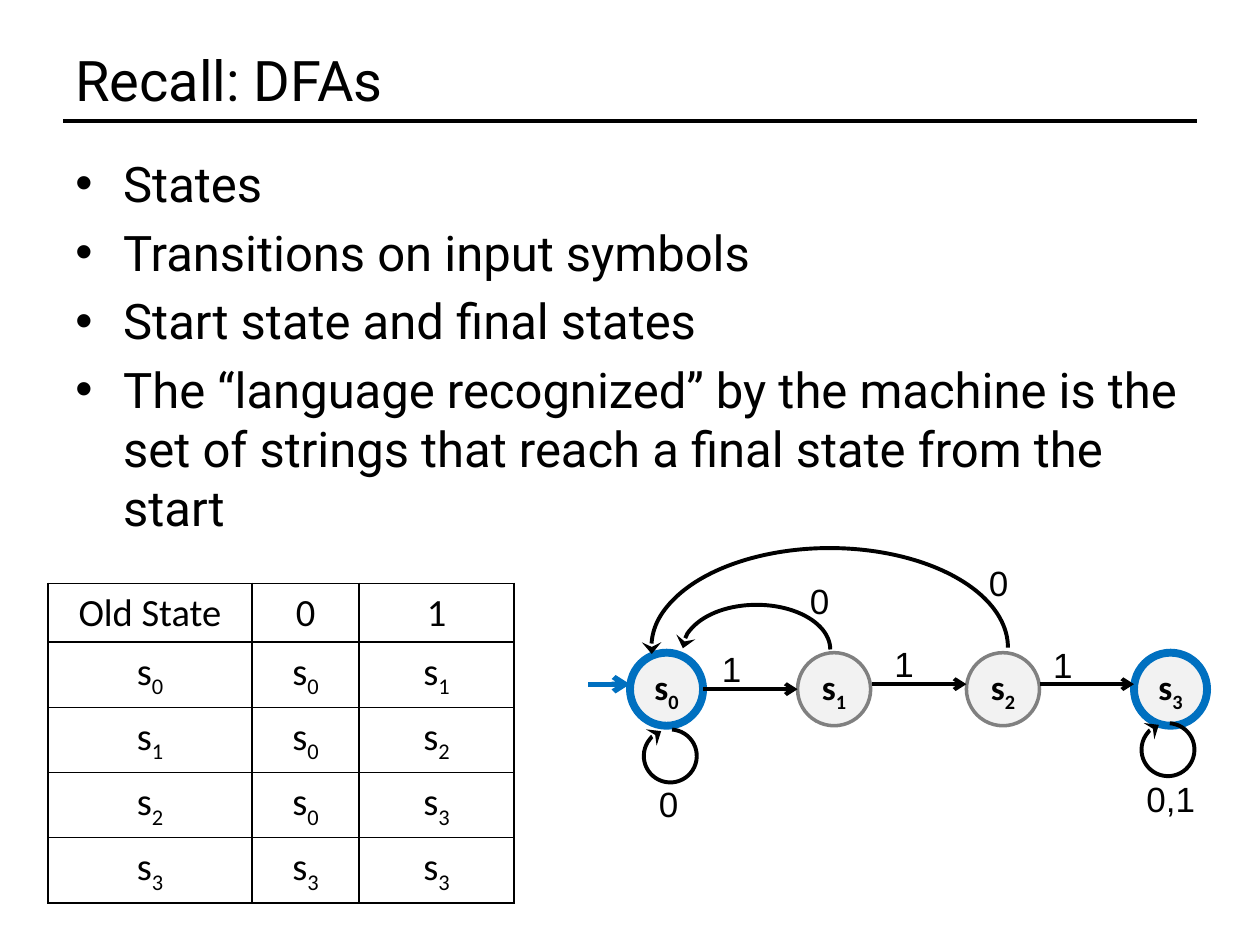
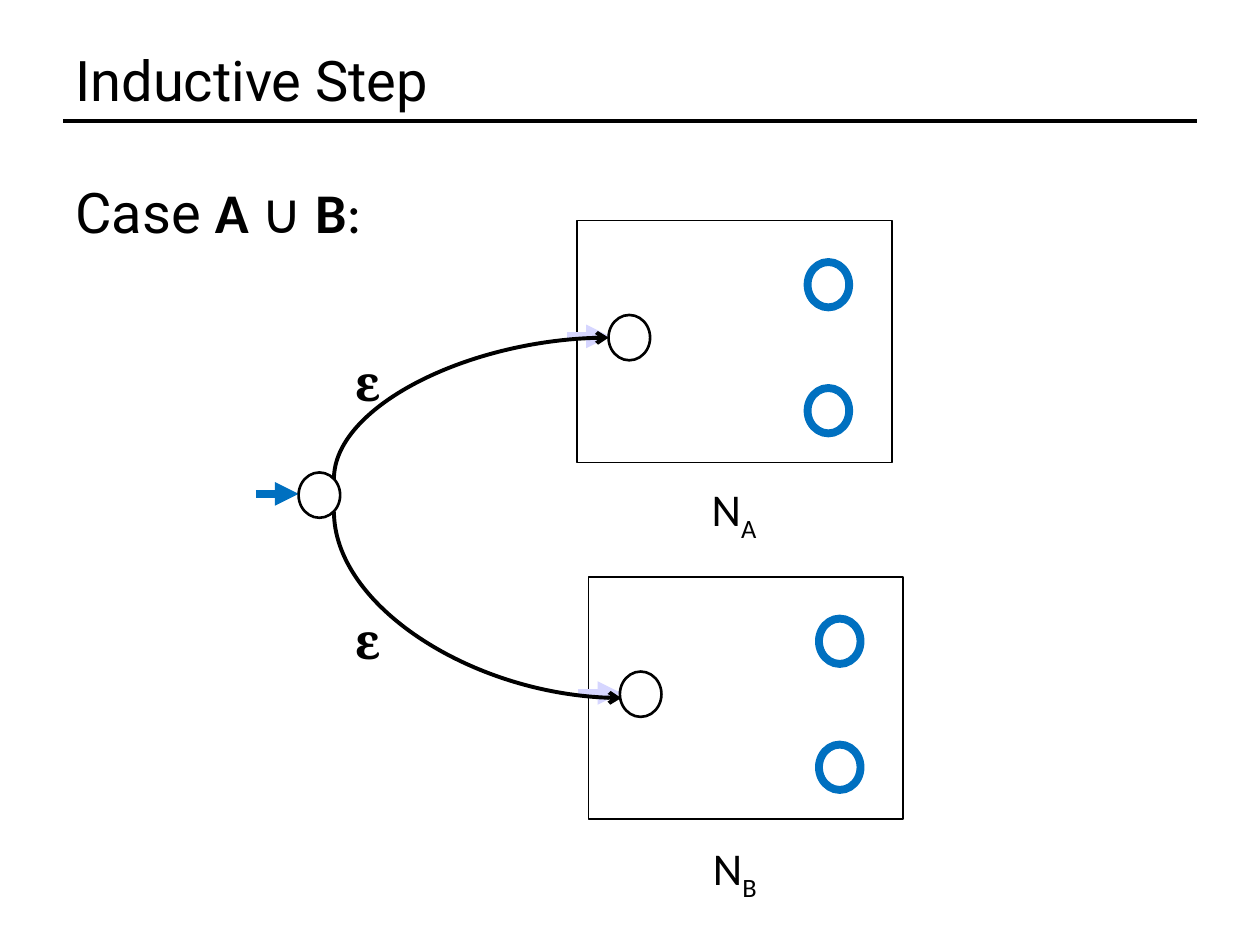
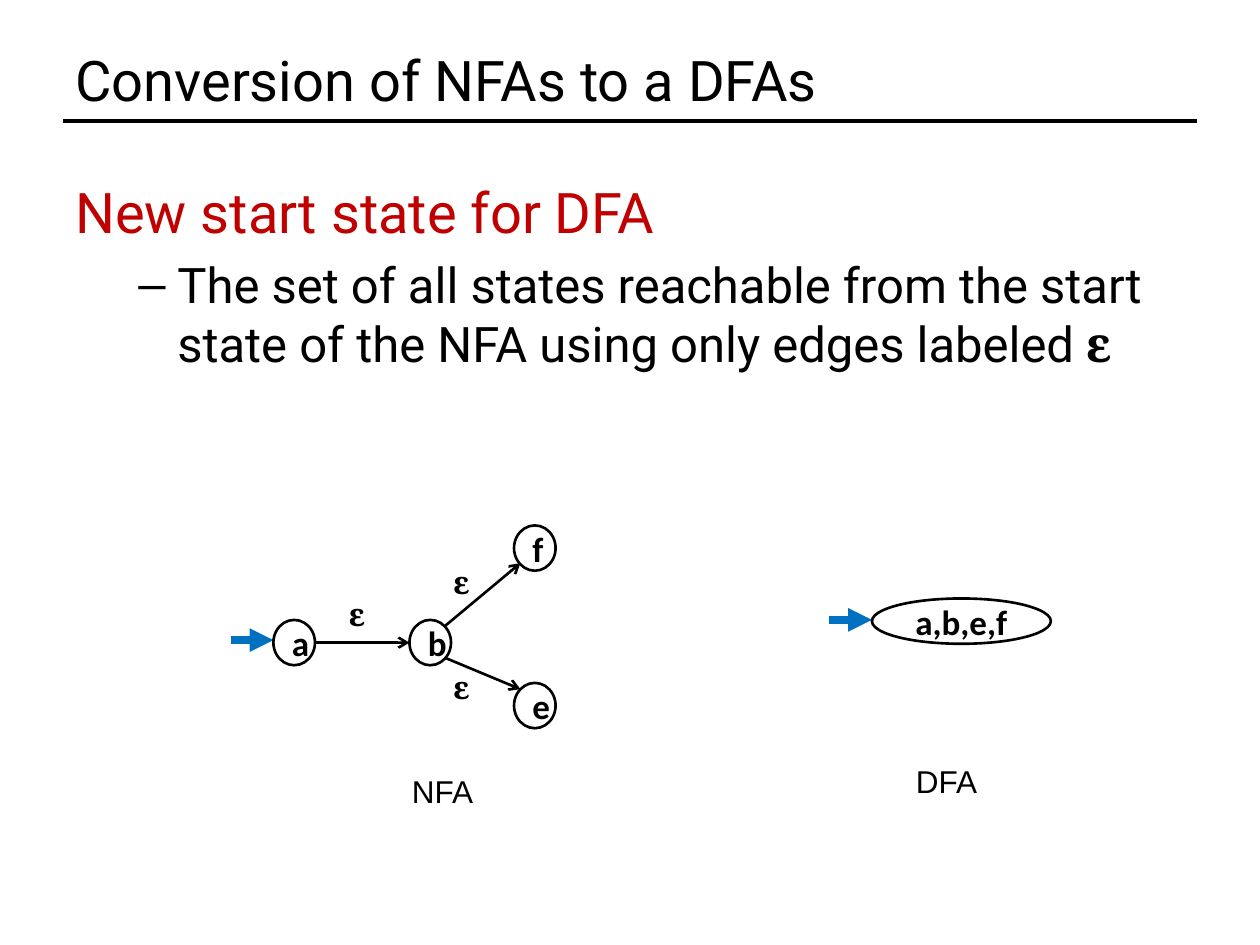
from lxml import etree
from pptx import Presentation
from pptx.dml.color import RGBColor
from pptx.enum.shapes import MSO_CONNECTOR, MSO_SHAPE
from pptx.enum.text import MSO_ANCHOR, MSO_AUTO_SIZE, PP_ALIGN
from pptx.oxml.ns import qn
from pptx.util import Inches, Pt

STRAIGHT, CURVE = MSO_CONNECTOR.STRAIGHT, MSO_CONNECTOR.CURVE
OVAL, RECTANGLE, ARC = MSO_SHAPE.OVAL, MSO_SHAPE.RECTANGLE, MSO_SHAPE.ARC
CENTER, MIDDLE, TOP = PP_ALIGN.CENTER, MSO_ANCHOR.MIDDLE, MSO_ANCHOR.TOP
GROW = MSO_AUTO_SIZE.SHAPE_TO_FIT_TEXT

BLACK = RGBColor(0x00, 0x00, 0x00)
BLUE = RGBColor(0x00, 0x70, 0xC0)
GRAY = RGBColor(0x80, 0x80, 0x80)
PALE_GRAY = RGBColor(0xF2, 0xF2, 0xF2)
LAVENDER = RGBColor(0xD6, 0xD6, 0xFF)
RED = RGBColor(0xC0, 0x00, 0x00)

DFA_POINTS = [
    "States",
    "Transitions on input symbols",
    "Start state and final states",
    "The “language recognized” by the machine is the set of strings that reach a final state from the start",
]
DFA_TABLE = [
    ("Old State", "0", "1"),
    ("s_0", "s_0", "s_1"),
    ("s_1", "s_0", "s_2"),
    ("s_2", "s_0", "s_3"),
    ("s_3", "s_3", "s_3"),
]
TABLE_COLUMNS = (1.62, 0.85, 1.23)
DFA_STATES = [("s_0", 5, True), ("s_1", 6.33, False), ("s_2", 7.67, False), ("s_3", 9, True)]
DFA_EDGES = [(5.58, 6.33, 5.47), (6.92, 7.67, 5.43), (8.25, 9, 5.43)]
DFA_LABELS = [
    ("1", 8.26, 5.06, 0.25), ("1", 7, 5.05, 0.25), ("1", 5.63, 5.09, 0.25),
    ("0,1", 9, 6.12, 0.88), ("0", 7.75, 4.41, 0.25), ("0", 5.13, 6.16, 0.25),
    ("0", 6.33, 4.55, 0.25),
]
RETURN_ARCS = [((5.42, 4.8, 1.17, 0.71), 108.556), ((5.17, 4.35, 2.83, 1.58), 106.771)]
SELF_LOOPS = [(5.11, 5.79), (9.06, 5.74)]

MACHINES = [(4.58, 1.75), (4.67, 4.58)]
MACHINE_LABELS = [("N_A", 5.55, 3.77), ("N_B", 5.56, 6.62)]
EPSILON_CURVES = [
    ((4.3, 4.33), (3.18, 2.15), 90),
    ((4.53, 3.66), (3.05, 5.94), 270),
]

NFA_STATES = [("f", 4.08, 4.17), ("e", 4.08, 5.42), ("b", 3.25, 4.92), ("a", 2.17, 4.92)]
NFA_EDGES = [((2.5, 5.1), (3.25, 5.1)), ((3.53, 4.97), (4.13, 4.47)), ((3.53, 5.22), (4.13, 5.47))]
NFA_EPSILONS = [(2.67, 4.67), (3.5, 4.42), (3.5, 5.25)]
CAPTIONS = [("NFA", 3.17, 6.08), ("DFA", 7.17, 6)]


def set_font(font, size, name, color=BLACK, bold=False):
    font.size, font.name, font.bold = Pt(size), name, bold
    font.color.rgb = color


def write(para, text, size, name, color=BLACK, bold=False):
    set_font(para.font, size, name, color, bold)
    base, _, subscript = text.partition("_")
    para.add_run().text = base
    if subscript:
        span = para.add_run()
        span.text = subscript
        span.font._element.set("baseline", "-25000")


def indent(para, left, hanging, bullet=None):
    props = para._p.get_or_add_pPr()
    props.set("marL", str(Inches(left)))
    props.set("indent", str(Inches(hanging)))
    if bullet:
        etree.SubElement(props, qn("a:buFont")).set("typeface", "Arial")
        etree.SubElement(props, qn("a:buChar")).set("char", bullet)


def add_arrowhead(item, kind, end="tailEnd", width="med"):
    etree.SubElement(item.line._get_or_add_ln(), qn(f"a:{end}"), type=kind, w=width)


def add_frame(page, left, top, width, height, anchor=TOP):
    frame = page.shapes.add_textbox(*map(Inches, (left, top, width, height))).text_frame
    frame.word_wrap = True
    frame.vertical_anchor = anchor
    return frame


def add_label(page, text, left, top, width, height, size, name, bold=False, wrap=False):
    frame = add_frame(page, left, top, width, height)
    frame.word_wrap = wrap
    frame.auto_size = GROW
    write(frame.paragraphs[0], text, size, name, bold=bold)


def add_outline(page, kind, left, top, width, height, color=BLACK, weight=1.5, fill=None):
    shape = page.shapes.add_shape(kind, *map(Inches, (left, top, width, height)))
    shape.shadow.inherit = False
    if fill is None:
        shape.fill.background()
    else:
        shape.fill.solid()
        shape.fill.fore_color.rgb = fill
    shape.line.color.rgb = color
    shape.line.width = Pt(weight)
    return shape


def add_state(page, left, top, text="", width=0.33, height=0.36, **style):
    state = add_outline(page, OVAL, left, top, width, height, **style)
    if text:
        state.text_frame.vertical_anchor = MIDDLE
        para = state.text_frame.paragraphs[0]
        para.alignment = CENTER
        write(para, text, 20, "Calibri", bold=True)


def add_line(page, start, end, color=BLACK, weight=2.25, head=None, kind=STRAIGHT):
    line = page.shapes.add_connector(kind, *map(Inches, (*start, *end)))
    line.line.color.rgb = color
    line.line.width = Pt(weight)
    if head:
        add_arrowhead(line, head)
    etree.SubElement(line._element.spPr, qn("a:effectLst"))
    return line


def add_start_arrow(page, left, top, color=BLUE):
    add_line(page, (left, top), (left + 0.34, top), color, 4.5, "triangle")


def add_arc(page, box, first_angle, end):
    arc = add_outline(page, ARC, *box, weight=2.25)
    arc.adjustments[0] = first_angle
    arc.adjustments[1] = 0
    add_arrowhead(arc, "stealth", end, "lg")
    return arc


def add_page(deck, title):
    page = deck.slides.add_slide(deck.slide_layouts[6])
    add_line(page, (0.5, 0.96), (9.5, 0.96), weight=2)
    frame = add_frame(page, 0.5, 0.3, 9, 0.66, MIDDLE)
    write(frame.paragraphs[0], title, 32, "Roboto")
    return page


def add_transition_table(page):
    box = map(Inches, (0.38, 4.63, sum(TABLE_COLUMNS), 2.33))
    holder = page.shapes.add_table(len(DFA_TABLE), len(TABLE_COLUMNS), *box)
    table = holder.table
    table.first_row = table.horz_banding = False
    for column, width in zip(table.columns, TABLE_COLUMNS):
        column.width = Inches(width)
    for row, texts in zip(table.rows, DFA_TABLE):
        row.height = Inches(0.34)
        for cell, text in zip(row.cells, texts):
            para = cell.text_frame.paragraphs[0]
            para.alignment = CENTER
            write(para, text, 22, "Calibri")
            props = cell._tc.get_or_add_tcPr()
            for side in ("lnL", "lnR", "lnT", "lnB"):
                border = etree.SubElement(props, qn(f"a:{side}"), w=str(Pt(1)))
                paint = etree.SubElement(border, qn("a:solidFill"))
                etree.SubElement(paint, qn("a:srgbClr")).set("val", str(BLACK))
            cell.fill.background()
    holder.height = Inches(2.33)


def build_recall(deck):
    page = add_page(deck, "Recall: DFAs")
    frame = add_frame(page, 0.5, 1.17, 9, 3.25)
    for number, point in enumerate(DFA_POINTS):
        para = frame.add_paragraph() if number else frame.paragraphs[0]
        para.space_before = Pt(5.6)
        indent(para, 0.38, -0.38, "•")
        write(para, point, 28, "Roboto")
    for name, left, outlined in DFA_STATES:
        color, weight = (BLUE, 4.5) if outlined else (GRAY, 2)
        add_state(page, left, 5.18, name, 0.58, 0.58, color=color, weight=weight, fill=PALE_GRAY)
    for text, left, top, width in DFA_LABELS:
        add_label(page, text, left, top, width, 0.44, 20, "Arial", wrap=True)
    for start, end, height in DFA_EDGES:
        add_line(page, (start, height), (end, height), head="arrow")
    for box, first_angle in RETURN_ARCS:
        add_arc(page, box, first_angle, "headEnd")
    for left, top in SELF_LOOPS:
        add_arc(page, (left, top, 0.42, 0.42), 14.537, "tailEnd").rotation = 249.8
    add_transition_table(page)
    add_line(page, (4.67, 5.43), (5, 5.43), BLUE, 3, "arrow")


def build_union(deck):
    page = add_page(deck, "Inductive Step")
    para = add_frame(page, 0.5, 1.36, 9, 5.62).paragraphs[0]
    para.space_before = Pt(6.4)
    indent(para, 0.38, -0.38)
    for text, name, bold in [("Case ", "Roboto", False), ("A", "Calibri", True),
                             (" ∪", "Calibri", False), (" B", "Calibri", True),
                             (":", "Calibri", False)]:
        span = para.add_run()
        span.text = text
        set_font(span.font, 32, name, bold=bold)
    for left, top in MACHINES:
        add_outline(page, RECTANGLE, left, top, 2.5, 1.92, weight=1)
        add_start_arrow(page, left - 0.08, top + 0.92, LAVENDER)
        add_state(page, left + 0.25, top + 0.75)
        for drop in (0.33, 1.33):
            add_state(page, left + 1.83, top + drop, color=BLUE, weight=4.5)
    add_start_arrow(page, 2.03, 3.92)
    add_state(page, 2.37, 3.75)
    for start, end, angle in EPSILON_CURVES:
        props = add_line(page, start, end, head="arrow", kind=CURVE)._element.spPr
        props.find(qn("a:xfrm")).set("rot", str(angle * 60000))
        props.find(qn("a:prstGeom")).set("prst", "curvedConnector2")
    for top in (2.75, 4.8):
        add_label(page, "ɛ", 2.72, top, 0.39, 0.57, 28, "Cambria", bold=True)
    for text, left, top in MACHINE_LABELS:
        add_label(page, text, left, top, 0.58, 0.54, 26, "Calibri")


def build_conversion(deck):
    page = add_page(deck, "Conversion of NFAs to a DFAs")
    frame = add_frame(page, 0.5, 1.36, 9, 5.62)
    heading = frame.paragraphs[0]
    heading.space_before = Pt(6.4)
    write(heading, "New start state for DFA", 32, "Roboto", RED)
    detail = frame.add_paragraph()
    detail.level = 1
    detail.space_before = Pt(5.6)
    indent(detail, 0.81, -0.31, "–")
    write(detail, "The set of all states reachable from the start state of the NFA using only edges labeled ",
          28, "Roboto")
    span = detail.add_run()
    span.text = "ɛ"
    set_font(span.font, 28, "Cambria", bold=True)

    add_start_arrow(page, 6.58, 4.92)
    add_state(page, 6.92, 4.75, "a,b,e,f", 1.42)
    add_start_arrow(page, 1.83, 5.08)
    for name, left, top in NFA_STATES:
        add_state(page, left, top, name)
    for start, end in NFA_EDGES:
        add_line(page, start, end, weight=1.5, head="arrow")
    for left, top in NFA_EPSILONS:
        add_label(page, "ɛ", left, top, 0.32, 0.4, 18, "Cambria", bold=True)
    for text, left, top in CAPTIONS:
        add_label(page, text, left, top, 0.69, 0.4, 18, "Arial")


def main():
    deck = Presentation()
    deck.slide_width, deck.slide_height = Inches(10), Inches(7.5)
    build_recall(deck)
    build_union(deck)
    build_conversion(deck)
    deck.save("out.pptx")


if __name__ == "__main__":
    main()
